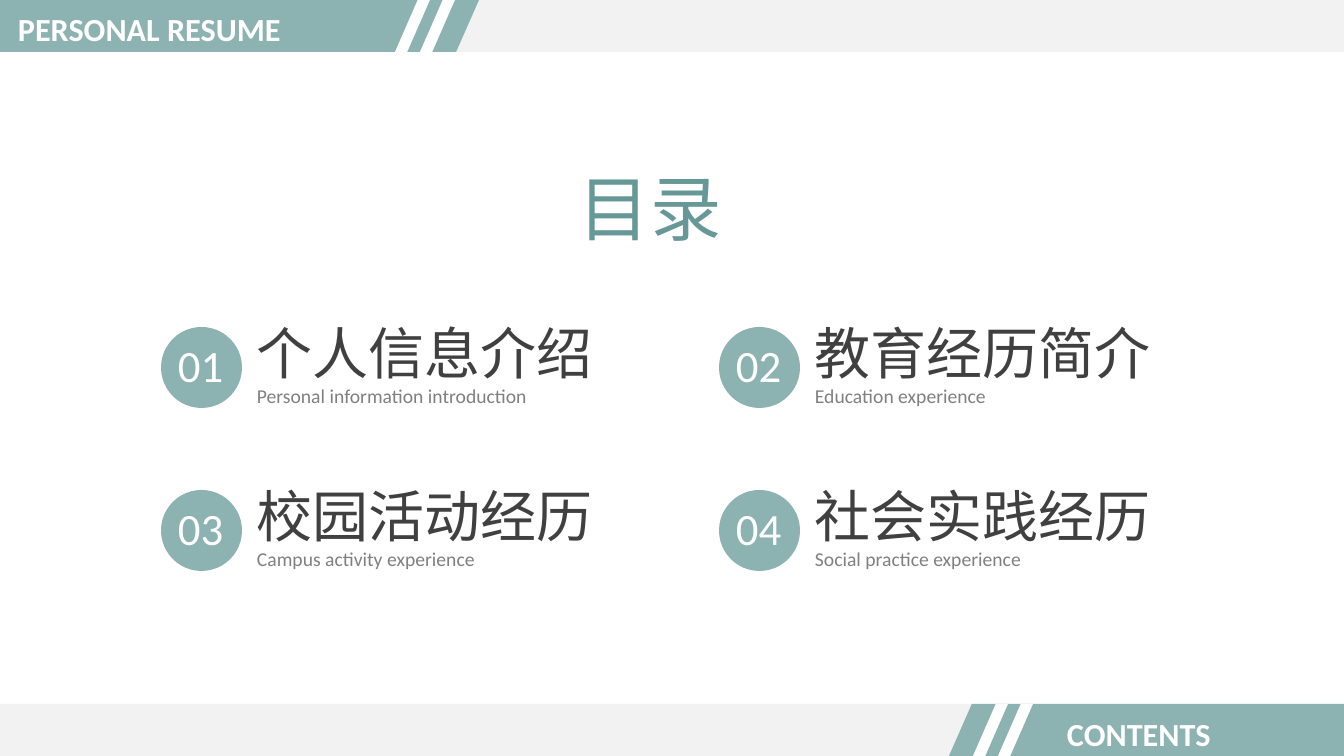
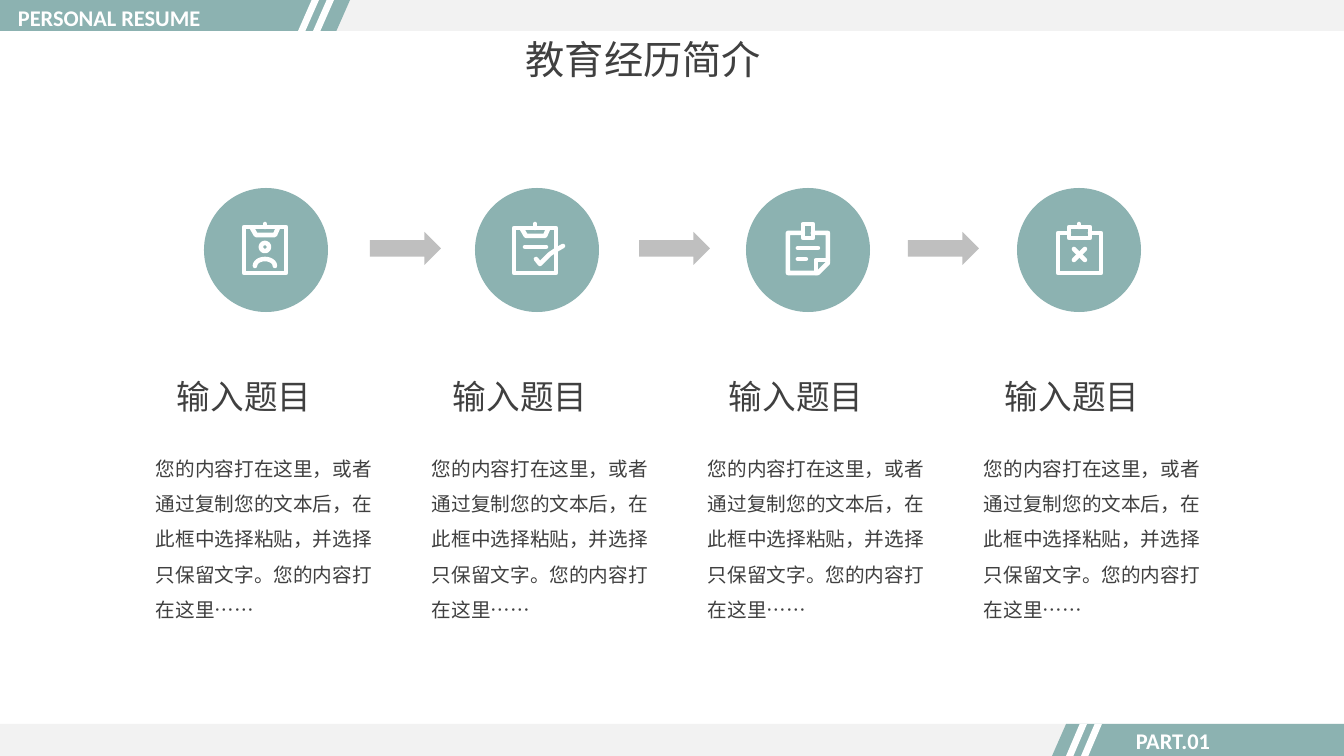
from math import cos, radians, sin

from lxml.etree import SubElement
from pptx import Presentation
from pptx.dml.color import RGBColor
from pptx.enum.shapes import MSO_SHAPE
from pptx.enum.text import MSO_AUTO_SIZE, PP_ALIGN
from pptx.oxml.ns import qn
from pptx.util import Pt

WIDTH, HEIGHT = 1344, 756
EMU_PER_PX = 12192000 / WIDTH
FONT = "Calibri"
COLORS = {
    "teal": "8CB2B1",
    "title": "669897",
    "strip": "F2F2F2",
    "arrow": "BFBFBF",
    "dark": "404040",
    "gray": "808080",
    "white": "FFFFFF",
}
SECTIONS = [
    ("个人信息介绍", "Personal information introduction"),
    ("教育经历简介", "Education experience"),
    ("校园活动经历", "Campus activity experience"),
    ("社会实践经历", "Social practice experience"),
]
STEP_HEADING = "输入题目"
STEP_BODY = (
    "您的内容打在这里，或者通过复制您的文本后，在此框中选择粘贴，"
    "并选择只保留文字。您的内容打在这里……"
)


def px(length):
    return round(length * EMU_PER_PX)


def color(name):
    return RGBColor.from_string(COLORS[name])


def arc(center_x, center_y, radius_x, radius_y, start, end):
    return [
        (center_x + radius_x * cos(radians(angle)), center_y + radius_y * sin(radians(angle)))
        for angle in range(start, end + 1, 15)
    ]


def box(left, top, right, bottom):
    return [(left, top), (right, top), (right, bottom), (left, bottom), (left, top)]


ICONS = {
    "profile": [
        box(40, 39, 82, 85),
        [(61, 36), (61, 39)],
        [(48, 40), (52, 47), (71, 47), (74, 40)],
        arc(61, 59, 4, 4, 0, 360),
        arc(61, 78, 10, 7, 180, 360),
    ],
    "checklist": [
        box(39, 40, 81, 85),
        [(60, 36), (60, 40)],
        [(47, 41), (51, 48), (70, 48), (73, 41)],
        [(50, 59), (71, 59)],
        [(61, 71), (65, 76), (75, 66), (81, 62), (88, 58)],
    ],
    "note": [
        [(57, 45), (42, 45), (42, 85), (72, 85), (82, 75), (82, 45), (67, 45)],
        [(70, 85), (70, 72), (82, 72)],
        box(57, 36, 67, 50),
        [(52, 60), (72, 60)],
        [(52, 71), (60, 71)],
    ],
    "rejection": [
        [(52, 45), (41, 45), (41, 85), (84, 85), (84, 45), (73, 45)],
        box(52, 39, 73, 50),
        [(62, 36), (62, 39)],
        [(57, 61), (68, 72)],
        [(68, 61), (57, 72)],
    ],
}


class Deck:
    def __init__(self):
        self.presentation = Presentation()
        self.presentation.slide_width = px(WIDTH)
        self.presentation.slide_height = px(HEIGHT)
        self.slide = None

    def add_slide(self):
        self.slide = self.presentation.slides.add_slide(self.presentation.slide_layouts[6])

    def shape(self, kind, left, top, width, height, fill, slant=None):
        shape = self.slide.shapes.add_shape(kind, px(left), px(top), px(width), px(height))
        shape.shadow.inherit = False
        shape.fill.solid()
        shape.fill.fore_color.rgb = color(fill)
        shape.line.fill.background()
        if slant is not None:
            shape.adjustments[0] = slant

    def text(self, words, left, top, width, height, size, ink,
             bold=False, grow=True, align=PP_ALIGN.JUSTIFY, spacing=None):
        frame = self.slide.shapes.add_textbox(
            px(left), px(top), px(width), px(height)).text_frame
        frame.word_wrap = True
        frame.auto_size = MSO_AUTO_SIZE.SHAPE_TO_FIT_TEXT if grow else MSO_AUTO_SIZE.NONE
        paragraph = frame.paragraphs[0]
        paragraph.text = words
        paragraph.alignment = align
        if spacing:
            paragraph.line_spacing = spacing
        paragraph.font.name = FONT
        paragraph.font.size = Pt(size)
        paragraph.font.bold = bold
        paragraph.font.color.rgb = color(ink)

    def band(self, top, height, left, right, slots, slot_width):
        slanted = MSO_SHAPE.PARALLELOGRAM
        self.shape(slanted, -84, top, 1503, height, "strip", 0.44)
        self.shape(slanted, left, top, right - left, height, "teal", 0.44)
        for slot in slots:
            self.shape(slanted, slot, top, slot_width, height, "white", 0.65)

    def label(self, words, left, top, width, size):
        self.text(words, left, top, width, 47, size, "white", bold=True, grow=False)

    def icon(self, strokes, left, top):
        builder = None
        for stroke in strokes:
            points = [(px(left + x), px(top + y)) for x, y in stroke]
            if builder is None:
                builder = self.slide.shapes.build_freeform(*points[0])
            else:
                builder.move_to(*points[0])
            closed = points[0] == points[-1]
            builder.add_line_segments(points[1:-1] if closed else points[1:], close=closed)
        shape = builder.convert_to_shape()
        shape.shadow.inherit = False
        shape.fill.background()
        shape.line.color.rgb = color("white")
        shape.line.width = Pt(3.25)
        outline = shape._element.spPr.find(qn("a:ln"))
        outline.set("cap", "rnd")
        SubElement(outline, qn("a:round"))


def contents_slide(deck):
    deck.add_slide()
    deck.band(704, 52, 949, 1420, (973, 998), 35)
    deck.band(0, 52, -84, 479, (395, 420), 35)
    deck.label("PERSONAL RESUME", 8, 4, 379, 23)
    deck.label("CONTENTS", 1057, 709, 243, 23)
    deck.text("目录", 569, 159, 207, 97, 51, "title")
    for index, (heading, translation) in enumerate(SECTIONS):
        row, column = divmod(index, 2)
        left, top = 161 + 558 * column, 327 + 163 * row
        deck.shape(MSO_SHAPE.OVAL, left, top, 81, 81, "teal")
        deck.text(f"{index + 1:02}", left + 7, top + 6, 70, 65, 32, "white")
        deck.text(heading, left + 86, top - 13, 376, 78, 40, "dark")
        deck.text(translation, left + 86, top + 52, 376, 34, 14, "gray")


def education_slide(deck):
    deck.add_slide()
    deck.band(724, 32, 1052, 1420, (1066, 1081), 21)
    deck.band(0, 31, -41, 350, (298, 313), 21)
    deck.label("PERSONAL RESUME", 8, -1, 291, 16)
    deck.label("PART.01", 1126, 722, 196, 16)
    deck.text(SECTIONS[1][0], 516, 30, 309, 57, 28, "dark")
    for index, strokes in enumerate(ICONS.values()):
        circle_left, column_left = 204 + 271 * index, 146 + 276 * index
        deck.shape(MSO_SHAPE.OVAL, circle_left, 188, 124, 124, "teal")
        deck.icon(strokes, circle_left, 188)
        if index < len(ICONS) - 1:
            deck.shape(MSO_SHAPE.RIGHT_ARROW, 370 + 269 * index, 232, 71, 33, "arrow")
        deck.text(STEP_HEADING, column_left + 21, 371, 190, 50, 24, "dark")
        deck.text(STEP_BODY, column_left, 440, 240, 188, 14, "dark",
                  align=PP_ALIGN.LEFT, spacing=1.5)


def main():
    deck = Deck()
    contents_slide(deck)
    education_slide(deck)
    deck.presentation.save("out.pptx")


if __name__ == "__main__":
    main()
